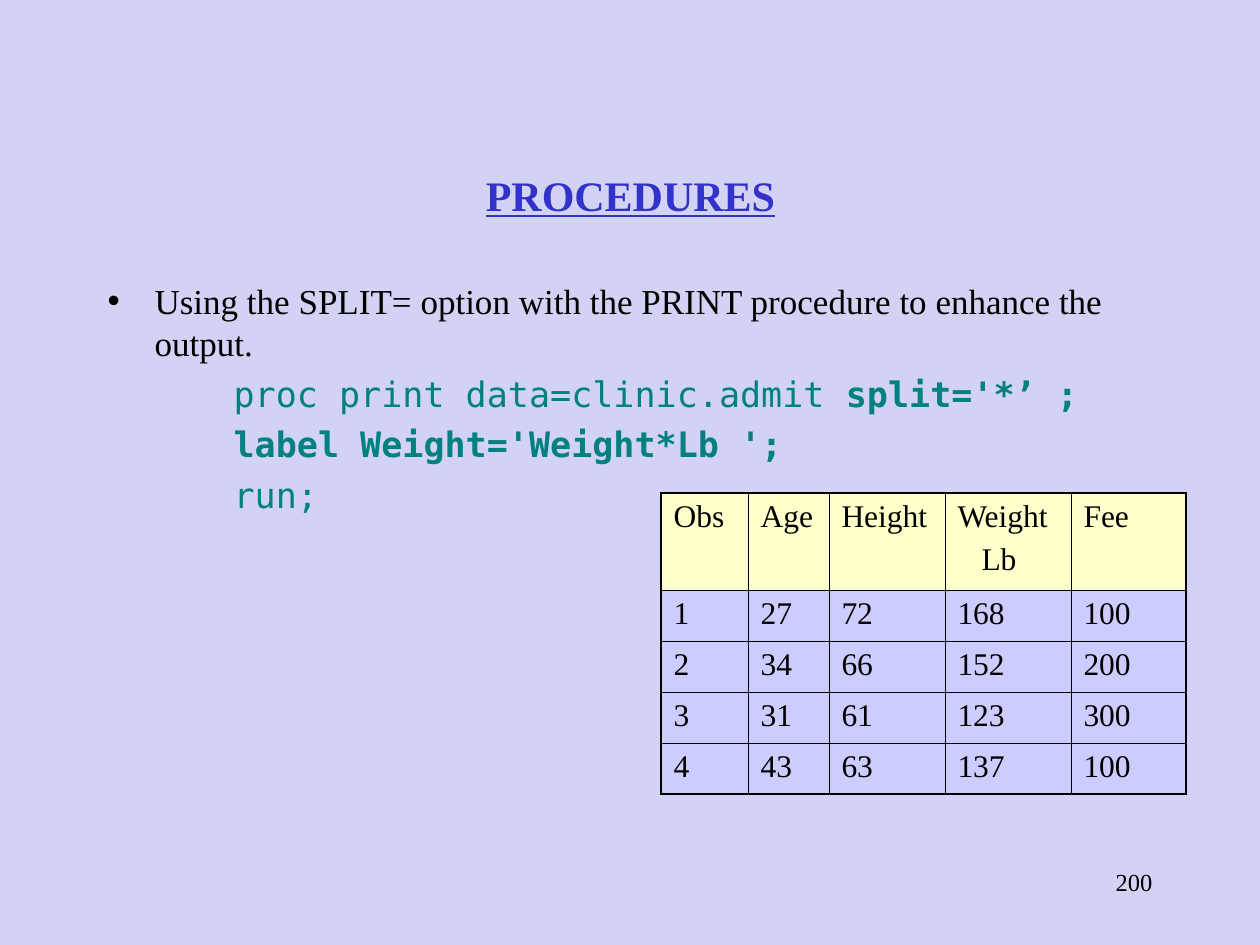
"""Builds the PROCEDURES slide about the SPLIT= option of PROC PRINT."""
from lxml import etree
from pptx import Presentation
from pptx.dml.color import RGBColor
from pptx.enum.text import MSO_ANCHOR, MSO_AUTO_SIZE, PP_ALIGN
from pptx.oxml.ns import qn
from pptx.util import Emu, Pt

MIDDLE, TOP = MSO_ANCHOR.MIDDLE, MSO_ANCHOR.TOP
CENTER, RIGHT, LEFT = PP_ALIGN.CENTER, PP_ALIGN.RIGHT, PP_ALIGN.LEFT
NO_FIT = MSO_AUTO_SIZE.NONE
SERIF, MONO = "Times New Roman", "DejaVu Sans Mono"
BLACK, BLUE, TEAL = "000000", "3333CC", "008080"
BACKGROUND, HEADER_FILL, BODY_FILL = "D2D2F4", "FFFFCC", "CCCCFF"
THIN, THICK = 0.45, 1.08

TITLE = "PROCEDURES"
INTRO = "Using the SPLIT= option with the PRINT procedure to enhance the output."
CODE = [
    [("proc print data=clinic.admit ", False), ("split='*’ ;", True)],
    [("label Weight='Weight*Lb ';", True)],
    [("run;", False)],
]
PAGE_NUMBER = "200"
ROWS = [
    ["Obs", "Age", "Height", "Weight", "Fee"],
    ["1", "27", "72", "168", "100"],
    ["2", "34", "66", "152", "200"],
    ["3", "31", "61", "123", "300"],
    ["4", "43", "63", "137", "100"],
]
SPLIT_LABEL = "Lb"
COLUMN_WIDTHS = [87, 81, 116, 126, 115]
ROW_HEIGHTS = [97, 51, 51, 51, 51]


def px(length):
    return Emu(round(length * 914400 / 126))


def color(value):
    return RGBColor.from_string(value)


def place(box, left, top, width, height):
    box.left, box.top, box.width, box.height = map(px, (left, top, width, height))


def prepare(box, anchor):
    frame = box.text_frame
    frame.word_wrap = True
    frame.auto_size = NO_FIT
    frame.vertical_anchor = anchor
    return frame


def indent(para, margin, first_line, bullet=None):
    properties = para._p.get_or_add_pPr()
    properties.set("marL", str(px(margin)))
    properties.set("indent", str(px(first_line)))
    if bullet:
        etree.SubElement(properties, qn("a:buChar")).set("char", bullet)
    else:
        etree.SubElement(properties, qn("a:buNone"))


def write(para, text, size=20, face=SERIF, ink=BLACK, bold=False,
          underline=False, align=LEFT, before=0):
    para.alignment = align
    para.space_before = Pt(before)
    span = para.add_run()
    span.text = text
    font = span.font
    font.size, font.name = Pt(size), face
    font.bold, font.underline = bold, underline
    font.color.rgb = color(ink)


def border(cell, widths):
    properties = cell._tc.get_or_add_tcPr()
    for position, (side, width) in enumerate(widths.items()):
        line = etree.Element(qn(f"a:ln{side}"), w=str(Pt(width)))
        fill = etree.SubElement(line, qn("a:solidFill"))
        etree.SubElement(fill, qn("a:srgbClr")).set("val", BLACK)
        properties.insert(position, line)


def add_title(page):
    box = page.shapes.title
    place(box, 95, 147, 1071, 95)
    write(prepare(box, MIDDLE).paragraphs[0], TITLE, size=24, ink=BLUE,
          bold=True, underline=True, align=CENTER)


def add_body(page):
    box = page.placeholders[1]
    place(box, 95, 273, 1071, 567)
    frame = prepare(box, TOP)
    intro = frame.paragraphs[0]
    indent(intro, 47, -47, bullet="•")
    write(intro, INTRO)
    for spans in CODE:
        para = frame.add_paragraph()
        para.level = 2
        indent(para, 158, -32)
        for text, bold in spans:
            write(para, text, face=MONO, ink=TEAL, bold=bold, before=5)


def add_admissions_table(page):
    frame = page.shapes.add_table(
        len(ROWS), len(COLUMN_WIDTHS), px(661), px(493),
        px(sum(COLUMN_WIDTHS)), px(sum(ROW_HEIGHTS)))
    table = frame.table
    for column, width in zip(table.columns, COLUMN_WIDTHS):
        column.width = px(width)
    last_row, last_column = len(ROWS) - 1, len(COLUMN_WIDTHS) - 1
    for r, values in enumerate(ROWS):
        table.rows[r].height = px(ROW_HEIGHTS[r])
        for c, value in enumerate(values):
            cell = table.cell(r, c)
            cell.fill.solid()
            cell.fill.fore_color.rgb = color(BODY_FILL if r else HEADER_FILL)
            border(cell, {
                "L": THIN if c else THICK,
                "R": THICK if c == last_column else THIN,
                "T": THIN if r else THICK,
                "B": THICK if r == last_row else THIN,
            })
            write(cell.text_frame.paragraphs[0], value, size=18)
    label = table.cell(0, ROWS[0].index("Weight")).text_frame.add_paragraph()
    indent(label, 24, 0)
    write(label, SPLIT_LABEL, size=18, before=4.5)


def add_page_number(page):
    box = page.shapes.add_textbox(px(903), px(861), px(262), px(63))
    write(prepare(box, TOP).paragraphs[0], PAGE_NUMBER, size=14, align=RIGHT)


def main():
    deck = Presentation()
    deck.slide_width, deck.slide_height = px(1260), px(945)
    page = deck.slides.add_slide(deck.slide_layouts[1])
    page.background.fill.solid()
    page.background.fill.fore_color.rgb = color(BACKGROUND)
    add_page_number(page)
    add_title(page)
    add_body(page)
    add_admissions_table(page)
    deck.save("out.pptx")


if __name__ == "__main__":
    main()
